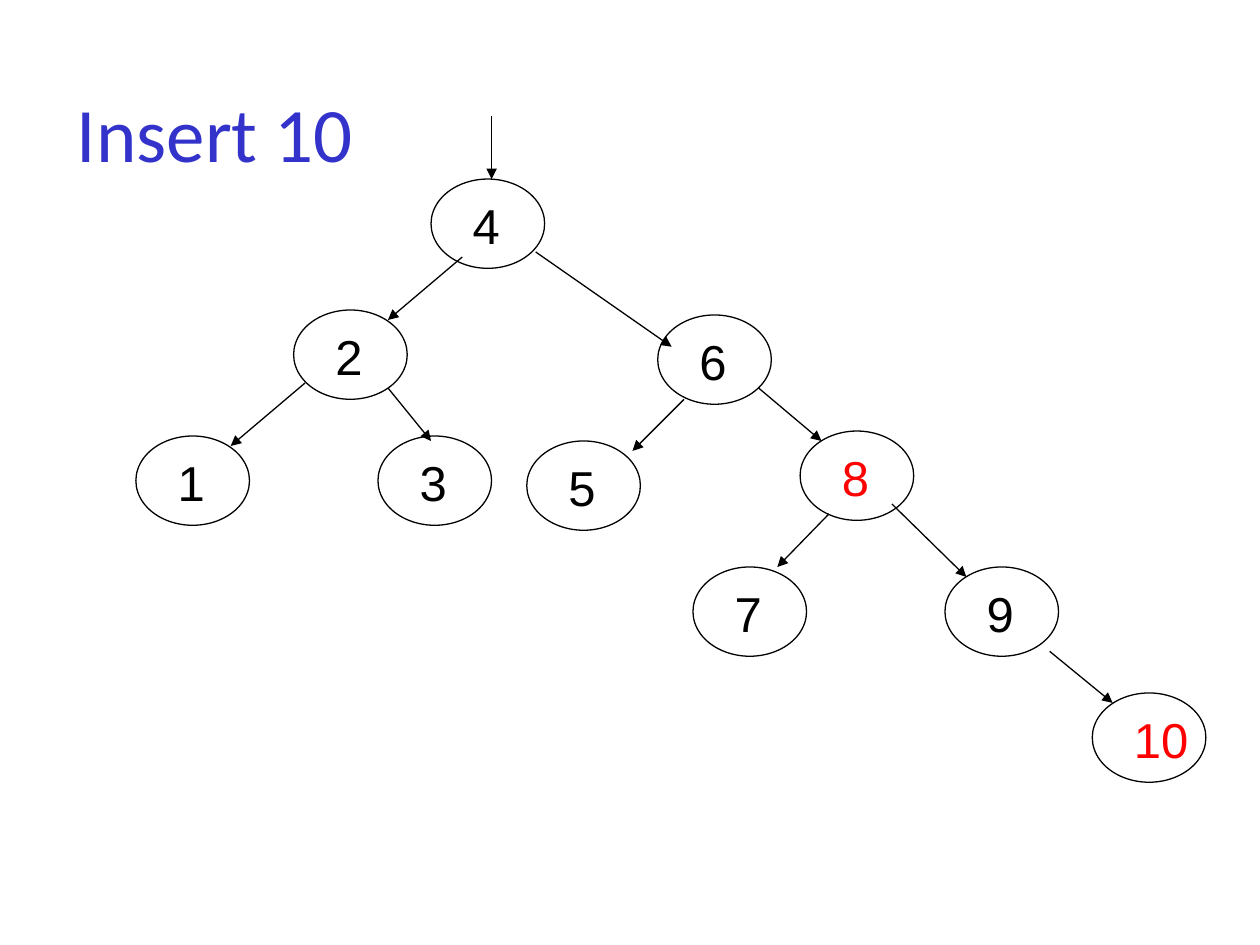
"""Draw a binary search tree after the insertion of 10."""
from lxml import etree
from pptx import Presentation
from pptx.dml.color import RGBColor
from pptx.enum.shapes import MSO_CONNECTOR, MSO_SHAPE
from pptx.enum.text import MSO_ANCHOR, MSO_AUTO_SIZE, PP_ALIGN
from pptx.oxml.ns import qn
from pptx.util import Cm, Pt

OVAL = MSO_SHAPE.OVAL
STRAIGHT = MSO_CONNECTOR.STRAIGHT
MIDDLE = MSO_ANCHOR.MIDDLE
CENTER = PP_ALIGN.CENTER
LEFT = PP_ALIGN.LEFT
FIT = MSO_AUTO_SIZE.SHAPE_TO_FIT_TEXT
NO_FIT = MSO_AUTO_SIZE.NONE

BLACK = RGBColor(0x00, 0x00, 0x00)
RED = RGBColor(0xFF, 0x00, 0x00)
BLUE = RGBColor(0x33, 0x33, 0xCC)

NODES = [
    ("4", 8.69, 3.61, BLACK),
    ("2", 5.92, 6.25, BLACK),
    ("3", 7.62, 8.79, BLACK),
    ("6", 13.26, 6.35, BLACK),
    ("5", 10.62, 8.89, BLACK),
    ("8", 16.13, 8.69, RED),
    ("1", 2.74, 8.79, BLACK),
    ("7", 13.97, 11.43, BLACK),
    ("9", 19.05, 11.43, BLACK),
    ("10", 22.02, 13.97, RED),
]
ARROWS = [
    (9.91, 2.34, 9.91, 3.61),
    (9.32, 5.18, 7.82, 6.45),
    (10.8, 5.08, 13.54, 6.99),
    (13.79, 8.05, 12.75, 9.09),
    (15.29, 7.82, 16.56, 8.89),
    (6.15, 7.72, 4.65, 8.99),
    (7.82, 7.82, 8.69, 8.89),
    (16.71, 10.36, 15.67, 11.43),
    (17.98, 10.16, 19.48, 11.63),
    (21.16, 13.13, 22.43, 14.17),
]


class Tree:
    """Hold the style and the current slide."""

    font, size, stroke = "Arial", Pt(28), Pt(0.75)
    wide, high = 2.29, 1.8

    def __init__(self, slide):
        self.slide = slide

    def label(self, frame, text, font, size, color, align):
        frame.text = text
        para = frame.paragraphs[0]
        para.alignment = align
        run = para.runs[0]
        run.font.name, run.font.size = font, size
        run.font.color.rgb = color

    def title(self, text):
        shape = self.slide.shapes.title
        shape.left, shape.top = Cm(-0.46), Cm(1.07)
        shape.width, shape.height = Cm(9.6), Cm(3.18)
        frame = shape.text_frame
        frame.vertical_anchor, frame.auto_size = MIDDLE, NO_FIT
        self.label(frame, text, "Calibri", Pt(44), BLUE, CENTER)

    def node(self, text, x, y, color):
        group = self.slide.shapes.add_group_shape()
        oval = group.shapes.add_shape(
            OVAL, Cm(x), Cm(y), Cm(self.wide), Cm(self.high))
        oval.shadow.inherit = False
        oval.fill.background()
        oval.line.color.rgb, oval.line.width = BLACK, self.stroke
        width = 0.51 + 0.56 * len(text)
        box = group.shapes.add_textbox(
            Cm(x + 0.59), Cm(y + 0.2), Cm(width), Cm(1.45))
        frame = box.text_frame
        frame.word_wrap, frame.auto_size = False, FIT
        self.label(frame, text, self.font, self.size, color, LEFT)

    def arrow(self, *ends):
        link = self.slide.shapes.add_connector(STRAIGHT, *map(Cm, ends))
        link.line.color.rgb, link.line.width = BLACK, self.stroke
        props = link._element.spPr
        tail = etree.SubElement(props.find(qn("a:ln")), qn("a:tailEnd"))
        tail.set("type", "triangle")
        etree.SubElement(props, qn("a:effectLst"))


def main():
    deck = Presentation()
    deck.slide_width, deck.slide_height = Cm(25.4), Cm(19.05)
    tree = Tree(deck.slides.add_slide(deck.slide_layouts[5]))
    tree.title("Insert 10")
    for node in NODES:
        tree.node(*node)
    for ends in ARROWS:
        tree.arrow(*ends)
    deck.save("out.pptx")


if __name__ == "__main__":
    main()
